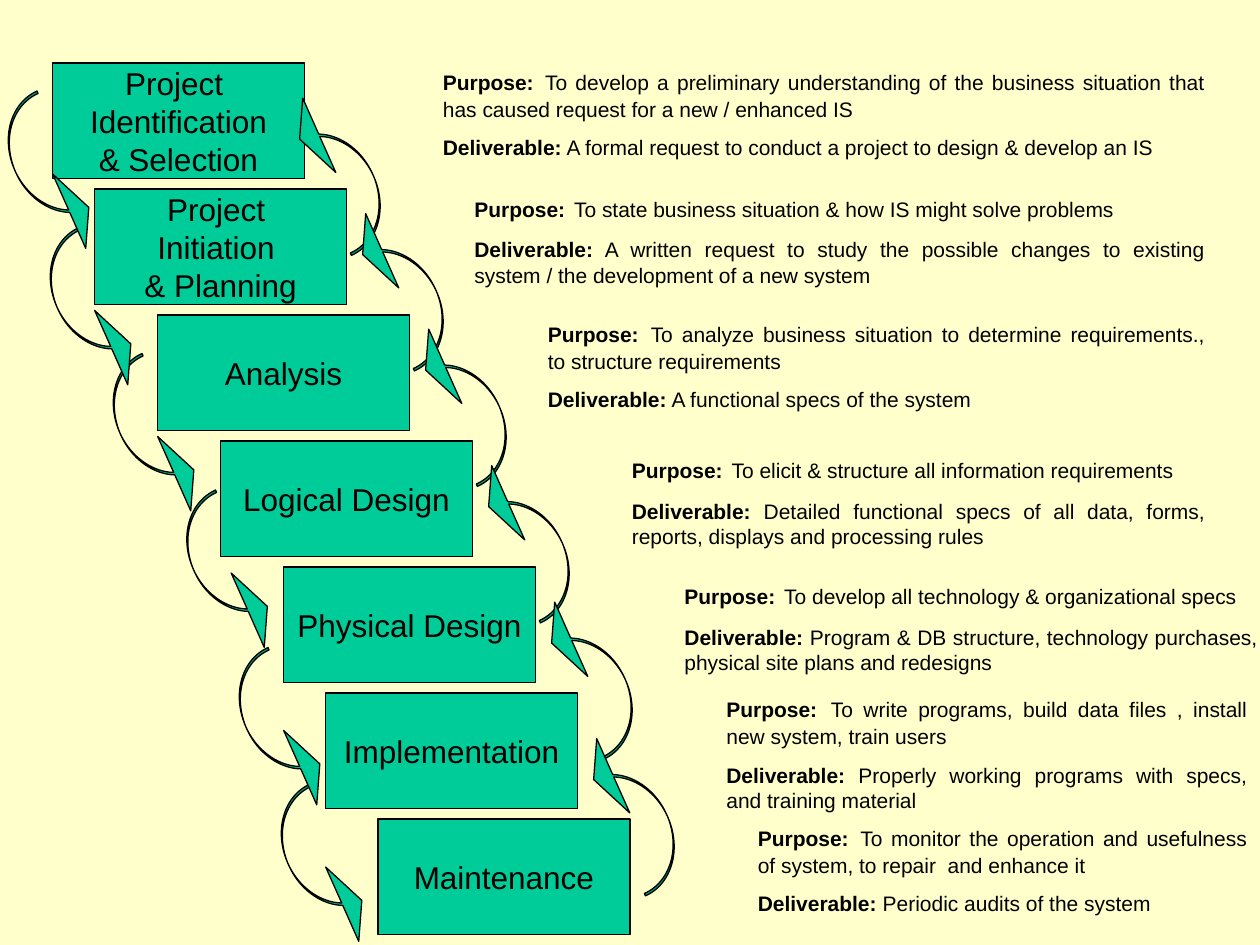
from pptx import Presentation
from pptx.dml.color import RGBColor
from pptx.enum.shapes import MSO_SHAPE
from pptx.enum.text import MSO_ANCHOR, MSO_AUTO_SIZE, PP_ALIGN
from pptx.util import Pt

PX = 9525  # EMU per px, 96 px to the inch


def paint(fill, code):
    fill.solid()
    fill.fore_color.rgb = RGBColor.from_string(code)


def write(para, text, size, bold=False):
    run = para.add_run()
    run.text = text
    run.font.name = "Arial"
    run.font.size = Pt(size)
    run.font.bold = bold
    paint(run.font.fill, "000000")


deck = Presentation()
deck.slide_width, deck.slide_height = 960 * PX, 720 * PX
slide = deck.slides.add_slide(deck.slide_layouts[6])
paint(slide.background.fill, "FFFFCC")
shapes = slide.shapes

# Phases, one step down each: left, lines of the label
phases = [
    (40, ["Project ", "Identification", "& Selection"]),
    (72, ["Project ", "Initiation ", "& Planning"]),
    (120, ["Analysis"]),
    (168, ["Logical Design"]),
    (216, ["Physical Design"]),
    (248, ["Implementation"]),
    (288, ["Maintenance"]),
]
for row, (left, lines) in enumerate(phases):
    box = shapes.add_shape(MSO_SHAPE.RECTANGLE, left * PX, (48 + 96 * row) * PX,
                           192 * PX, 88 * PX)
    box.shadow.inherit = False
    paint(box.fill, "00CC99")
    paint(box.line.fill, "000000")
    box.line.width = Pt(0.75)
    frame = box.text_frame
    frame.word_wrap = False
    frame.vertical_anchor = MSO_ANCHOR.MIDDLE
    for num, line in enumerate(lines):
        para = frame.add_paragraph() if num else frame.paragraphs[0]
        para.alignment = PP_ALIGN.CENTER
        write(para, line, 18)

# Notes: left, top, width, height, purpose, deliverable
notes = [
    (328, 40, 600, 87,
     "To develop a preliminary understanding of the business situation that "
     "has caused request for a new / enhanced IS",
     "A formal request to conduct a project to design & develop an IS"),
    (352, 137, 576, 87,
     "To state business situation & how IS might solve problems",
     "A written request to study the possible changes to existing system / "
     "the development of a new system"),
    (408, 232, 520, 87,
     "To analyze business situation to determine requirements., to structure requirements",
     "A functional specs of the system"),
    (472, 336, 456, 87,
     "To elicit & structure all information requirements",
     "Detailed functional specs of all data, forms, reports, displays and processing rules"),
    (512, 432, 456, 87,
     "To develop all technology & organizational specs",
     "Program & DB structure, technology purchases, physical site plans and redesigns"),
    (544, 518, 416, 107,
     "To write programs, build data files , install new system, train users",
     "Properly working programs with specs, and training material"),
    (568, 616, 392, 87,
     "To monitor the operation and usefulness of system, to repair  and enhance it",
     "Periodic audits of the system"),
]
for left, top, wide, high, goal, result in notes:
    note = shapes.add_textbox(left * PX, top * PX, wide * PX, high * PX)
    frame = note.text_frame
    frame.word_wrap = True
    frame.auto_size = MSO_AUTO_SIZE.SHAPE_TO_FIT_TEXT
    first, last = frame.paragraphs[0], frame.add_paragraph()
    for para in (first, last):
        para.alignment = PP_ALIGN.JUSTIFY
        para.space_before = Pt(7.5)
    write(first, "Purpose:", 12, True)
    write(first, " ", 18)
    write(first, goal, 12)
    write(last, "Deliverable:", 12, True)
    write(last, " " + result, 12)

# Arrows: down on the left, back up on the right by a half turn
down = [(224, 600), (96, 272), (152, 376), (192, 496), (48, 176), (16, 72)]
back = [(240, 64), (288, 152), (336, 240), (384, 344), (432, 448), (464, 552)]
for turn, spots in ((336, down), (156, back)):
    for left, top in spots:
        arrow = shapes.add_shape(MSO_SHAPE.CURVED_RIGHT_ARROW, left * PX, top * PX,
                                 40 * PX, 128 * PX)
        arrow.rotation = turn
        for num, value in enumerate((0.05, 1.55, 0.37)):
            arrow.adjustments[num] = value
        arrow.shadow.inherit = False
        paint(arrow.fill, "00CC99")
        paint(arrow.line.fill, "000000")
        arrow.line.width = Pt(0.75)

deck.save("out.pptx")
